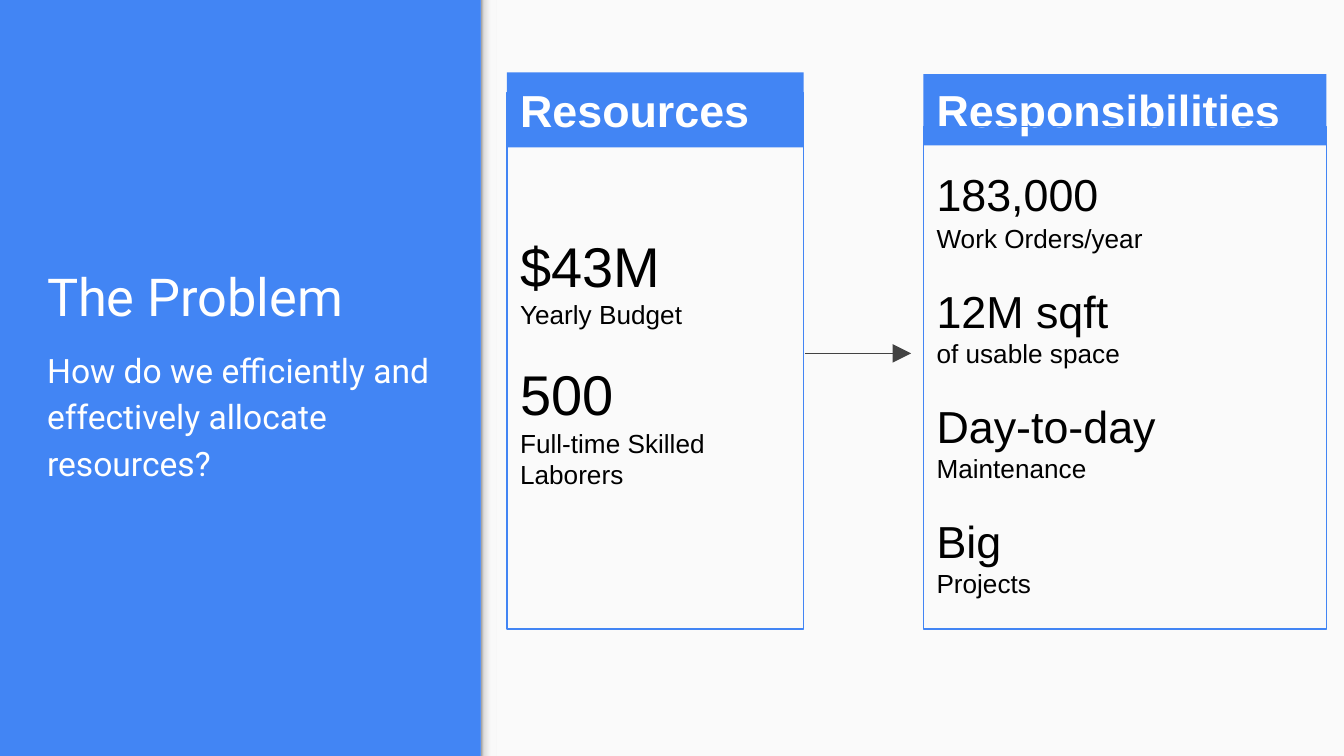
from copy import deepcopy
from pptx import Presentation
from pptx.dml.color import RGBColor
from pptx.enum.shapes import MSO_CONNECTOR as Link, MSO_SHAPE as Shape
from pptx.enum.text import MSO_ANCHOR as Anchor, MSO_AUTO_SIZE as Fit, PP_ALIGN as Align
from pptx.oxml.ns import qn
from pptx.util import Cm, Pt
from lxml.etree import SubElement as Sub

BLUE = RGBColor(0x42, 0x85, 0xF4)
PALE = RGBColor(0xFA, 0xFA, 0xFA)
WHITE = RGBColor(0xFF, 0xFF, 0xFF)
BLACK = RGBColor(0, 0, 0)
DARK = RGBColor(0x42, 0x42, 0x42)
SHADE = [  # edge shadow, dark to light
    (0, RGBColor(0x99, 0x99, 0x99)),
    (0.2, RGBColor(0xDE, 0xDE, 0xDE)),
    (0.64, RGBColor(0xF9, 0xF9, 0xF9)),
]

WIDE, HIGH = 25.4, 14.29
EDGE = 9.09   # left edge of the pale panel
BASE = 11.89  # bottom of both cards
PAD = 0.25


def style(para, size, color, font="Arial", bold=False):
    para.alignment = Align.LEFT
    for run in para.runs:
        run.font.name, run.font.size = font, Pt(size)
        run.font.bold, run.font.color.rgb = bold, color


def setup(frame, anchor, top=PAD):
    frame.word_wrap = True
    frame.auto_size = Fit.NONE
    frame.vertical_anchor = anchor
    frame.margin_left = frame.margin_right = frame.margin_bottom = Cm(PAD)
    frame.margin_top = Cm(top)


def add_box(shapes, x, y, w, h, fill=None, line=None):
    box = shapes.add_shape(Shape.RECTANGLE, Cm(x), Cm(y), Cm(w), Cm(h))
    box.shadow.inherit = False
    if fill is None:
        box.fill.background()
    else:
        box.fill.solid()
        box.fill.fore_color.rgb = fill
    if line is None:
        box.line.fill.background()
    else:
        box.line.color.rgb, box.line.width = line, Pt(0.75)
    return box


def add_shade(shapes):
    box = add_box(shapes, EDGE, 0, 0.3, HIGH)
    box.fill.gradient()
    box.fill.gradient_angle = 0
    stops = box._element.spPr.find(".//" + qn("a:gsLst"))
    stops.append(deepcopy(stops[-1]))
    for stop, (place, color) in zip(box.fill.gradient_stops, SHADE):
        stop.position, stop.color.rgb = place, color


def fill_holder(holder, y, h, text, size, anchor):
    holder.left, holder.top = Cm(0.64), Cm(y)
    holder.width, holder.height = Cm(7.8), Cm(h)
    frame = holder.text_frame
    setup(frame, anchor)
    frame.text = text
    para = frame.paragraphs[0]
    style(para, size, WHITE, "Roboto")
    para.space_before = Pt(0)
    return para


def add_card(shapes, x, w, head, body_top, name, facts, size, top=PAD, gap=0):
    """Card with a filled heading and an outlined list of facts."""
    card = shapes.add_group_shape().shapes
    bar = add_box(card, x, head[0], w, head[1], BLUE)
    setup(bar.text_frame, Anchor.MIDDLE)
    bar.text_frame.text = name
    style(bar.text_frame.paragraphs[0], 24, WHITE, bold=True)

    body = add_box(card, x, body_top, w, BASE - body_top, line=BLUE)
    frame = body.text_frame
    setup(frame, Anchor.MIDDLE, top)
    frame.text = "\n".join(part for fact in facts for part in fact)
    for i, para in enumerate(frame.paragraphs):
        style(para, 14 if i % 2 else size, BLACK)
        if i and i % 2 == 0:
            para.space_before = Pt(16)
    frame.paragraphs[0].space_after = Pt(gap)


def add_arrow(shapes, x, end, y):
    arrow = shapes.add_connector(Link.STRAIGHT, Cm(x), Cm(y), Cm(end), Cm(y))
    arrow.line.color.rgb, arrow.line.width = DARK, Pt(0.75)
    line = arrow.line._get_or_add_ln()
    Sub(line, qn("a:tailEnd"), type="triangle", w="lg", len="lg")
    Sub(arrow._element.spPr, qn("a:effectLst"))


def main():
    deck = Presentation()
    deck.slide_width, deck.slide_height = Cm(WIDE), Cm(HIGH)
    slide = deck.slides.add_slide(deck.slide_layouts[1])
    shapes = slide.shapes

    # Background and panel
    back = slide.background.fill
    back.solid()
    back.fore_color.rgb = BLUE
    add_box(shapes, EDGE, 0, WIDE - EDGE, HIGH, PALE)
    add_shade(shapes)

    # Title and question
    fill_holder(shapes.title, 0.99, 5.44, "The Problem", 28, Anchor.BOTTOM)
    ask = fill_holder(
        slide.placeholders[1], 6.25, 6.6,
        "How do we efficiently and effectively allocate resources?",
        18, Anchor.TOP)
    ask.line_spacing, ask.space_after = 1.15, Pt(16)
    props = ask._p.get_or_add_pPr()
    props.set("marL", "0")
    props.set("indent", "0")
    Sub(props, qn("a:buNone"))

    # Cards and the arrow between them
    add_arrow(shapes, 15.21, 17.22, 6.68)
    add_card(shapes, 9.58, 5.61, (1.37, 1.42), 1.75, "Resources", [
        ("$43M", "Yearly Budget"),
        ("500", "Full-time Skilled Laborers"),
    ], 30)
    add_card(shapes, 17.45, 7.62, (1.4, 1.35), 2.39, "Responsibilities", [
        ("183,000", "Work Orders/year"),
        ("12M sqft", "of usable space"),
        ("Day-to-day", "Maintenance"),
        ("Big", "Projects"),
    ], 24, top=0.44, gap=1.4)

    deck.save("out.pptx")


if __name__ == "__main__":
    main()
